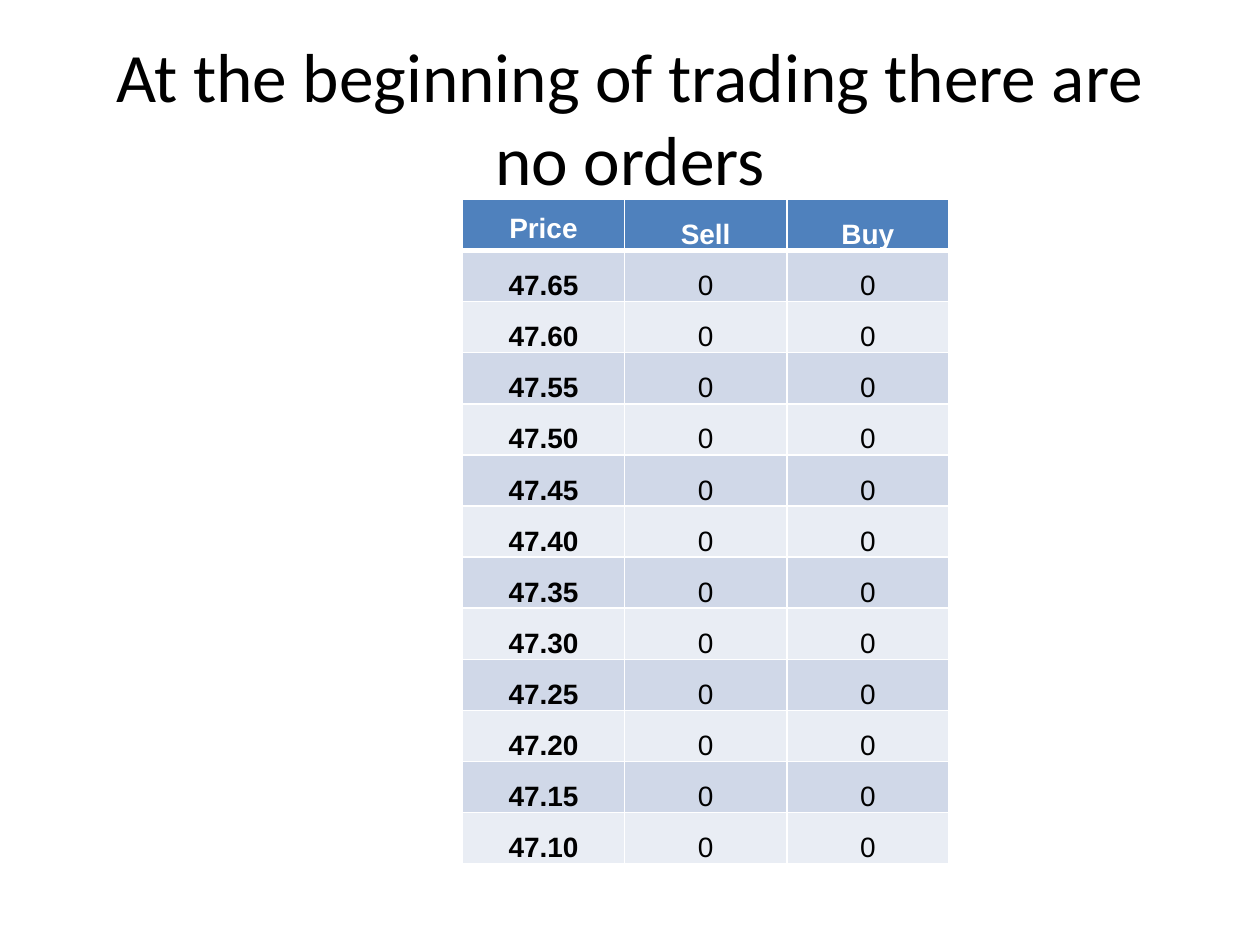
from dataclasses import dataclass

from lxml.etree import SubElement
from pptx import Presentation
from pptx.dml.color import RGBColor as RGB
from pptx.enum.text import MSO_ANCHOR as Anchor, MSO_AUTO_SIZE as AutoSize, PP_ALIGN as Align
from pptx.oxml.ns import qn
from pptx.util import Cm, Pt


@dataclass(frozen=True)
class Theme:
    title_font: str = "Calibri"
    table_font: str = "Arial"
    title_size: float = 39.6
    table_size: float = 16
    ink: str = "000000"
    white: str = "FFFFFF"
    header: str = "4F81BD"
    bands: tuple = ("D0D8E8", "E9EDF4")
    rule: float = 1
    header_rule: float = 3


class SlideBuilder:
    def __init__(self, slide, theme):
        self.slide = slide
        self.theme = theme

    def set_text(self, frame, text, font, size, color, bold=False):
        frame.text = text
        line = frame.paragraphs[0]
        line.alignment = Align.CENTER
        for run in line.runs:
            run.font.name = font
            run.font.size = Pt(size)
            run.font.bold = bold
            run.font.color.rgb = RGB.from_string(color)

    def title(self, text, left, top, width, height):
        heading = self.slide.shapes.title
        heading.left, heading.top, heading.width, heading.height = left, top, width, height
        frame = heading.text_frame
        frame.auto_size = AutoSize.NONE
        frame.vertical_anchor = Anchor.MIDDLE
        self.set_text(frame, text, self.theme.title_font, self.theme.title_size, self.theme.ink)

    def borders(self, cell, top, bottom):
        properties = cell._tc.get_or_add_tcPr()
        rule = self.theme.rule
        for side, points in (("L", rule), ("R", rule), ("T", top), ("B", bottom)):
            edge = SubElement(properties, qn(f"a:ln{side}"), w=str(Pt(points)))
            fill = SubElement(edge, qn("a:solidFill"))
            SubElement(fill, qn("a:srgbClr"), val=self.theme.white)

    def cell(self, cell, text, row, column):
        theme = self.theme
        is_header = row == 0
        # The thick rule is shared by the header and the first price row
        self.borders(cell,
                     top=theme.header_rule if row == 1 else theme.rule,
                     bottom=theme.header_rule if is_header else theme.rule)
        cell.fill.solid()
        band = theme.header if is_header else theme.bands[(row - 1) % 2]
        cell.fill.fore_color.rgb = RGB.from_string(band)
        cell.vertical_anchor = Anchor.BOTTOM
        # The top-left heading keeps the default margins
        if row or column:
            cell.margin_left = cell.margin_right = cell.margin_top = Cm(0.02)
            cell.margin_bottom = Cm(0)
        self.set_text(cell.text_frame, text, theme.table_font, theme.table_size,
                      theme.white if is_header else theme.ink,
                      bold=is_header or column == 0)

    def table(self, records, left, top, column_width, row_height):
        rows, columns = len(records), len(records[0])
        grid = self.slide.shapes.add_table(
            rows, columns, left, top, column_width * columns, row_height * rows).table
        for column in grid.columns:
            column.width = column_width
        for row in grid.rows:
            row.height = row_height
        for r, record in enumerate(records):
            for c, text in enumerate(record):
                self.cell(grid.cell(r, c), text, r, c)


def main():
    deck = Presentation()
    deck.slide_width, deck.slide_height = Cm(25.4), Cm(19.05)
    builder = SlideBuilder(deck.slides.add_slide(deck.slide_layouts[5]), Theme())

    # Heading
    builder.title("At the beginning of trading there are no orders",
                  Cm(1.27), Cm(0.76), Cm(22.86), Cm(3.18))

    # Empty order book: prices fall in steps of five cents
    prices = [f"{cents / 100:.2f}" for cents in range(4765, 4705, -5)]
    order_book = [("Price", "Sell", "Buy")] + [(price, "0", "0") for price in prices]
    builder.table(order_book, Cm(9.32), Cm(4.02), column_width=Cm(3.27), row_height=Cm(1.03))

    deck.save("out.pptx")


if __name__ == "__main__":
    main()
